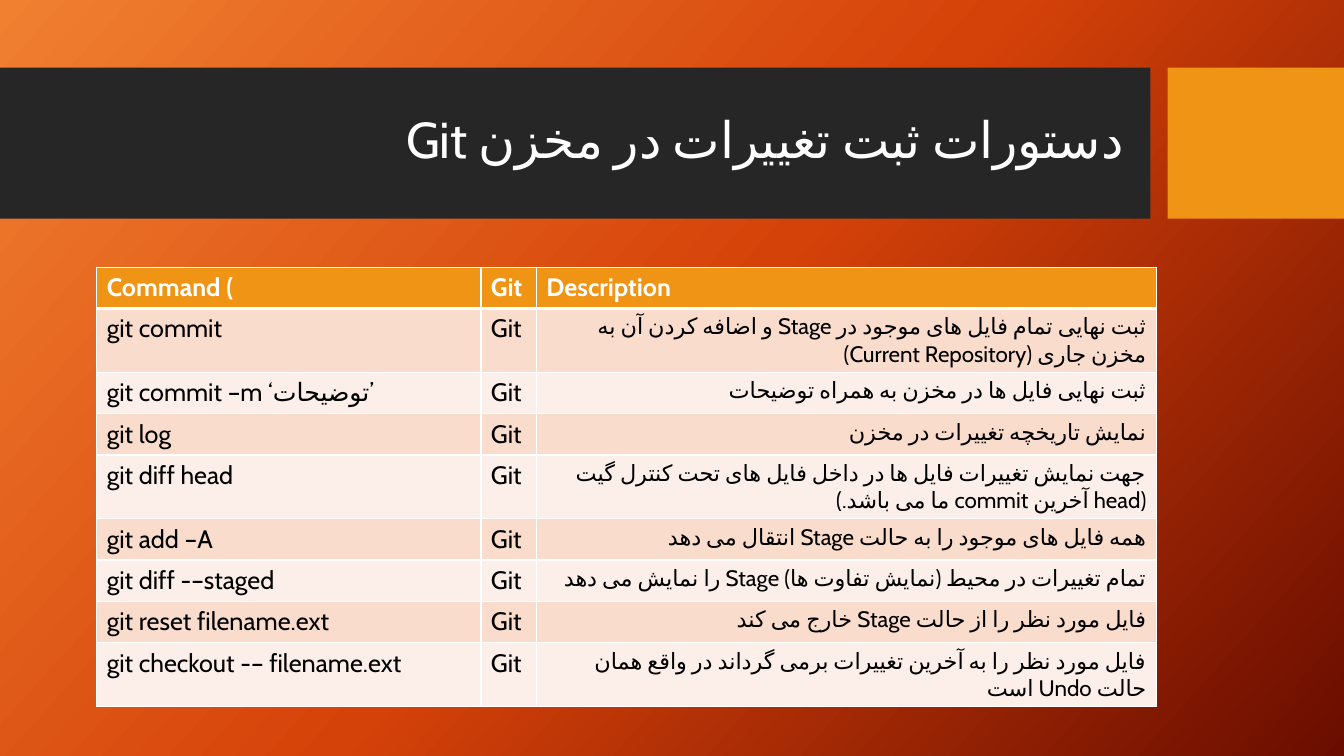
from copy import deepcopy

from lxml import etree
from pptx import Presentation
from pptx.dml.color import RGBColor
from pptx.enum import lang, shapes, text
from pptx.oxml import ns
from pptx.util import Inches, Pt

CHARCOAL = RGBColor(0x26, 0x26, 0x26)
AMBER = RGBColor(0xF0, 0x94, 0x15)
PEACH = RGBColor(0xF9, 0xDC, 0xCC)
CREAM = RGBColor(0xFC, 0xEE, 0xE8)
WHITE = RGBColor(0xFF, 0xFF, 0xFF)
BLACK = RGBColor(0, 0, 0)
BACKDROP = [
    (0, RGBColor(0xF1, 0x80, 0x31)),
    (0.5, RGBColor(0xD5, 0x42, 0x09)),
    (1, RGBColor(0x6A, 0x0D, 0x00)),
]

FONT = "Cabin"
BASE = {"name": FONT, "language_id": lang.MSO_LANGUAGE_ID.FARSI}
HEADER = {**BASE, "size": Pt(18), "bold": True}
COMMAND = {**BASE, "size": Pt(18), "bold": False}
DESCRIPTION = {**BASE, "size": Pt(16), "bold": False}
TITLE = {**BASE, "size": Pt(36)}

COLUMN_WIDTHS = [3.81, 0.55, 6.15]
ROW_HEIGHT = 0.41
HEADINGS = ["Command (", "Git", "Description"]
COMMANDS = [
    ("git commit", "ثبت نهایی تمام فایل های موجود در Stage و اضافه کردن آن به مخزن جاری (Current Repository)"),
    ("git commit –m ‘توضیحات’", "ثبت نهایی فایل ها در مخزن به همراه توضیحات"),
    ("git log", "نمایش تاریخچه تغییرات در مخزن"),
    ("git diff head", "جهت نمایش تغییرات فایل ها در داخل فایل های تحت کنترل گیت (head آخرین commit ما می باشد.)"),
    ("git add –A", "همه فایل های موجود را به حالت Stage انتقال می دهد"),
    ("git diff -–staged", "تمام تغییرات در محیط (نمایش تفاوت ها) Stage را نمایش می دهد"),
    ("git reset filename.ext", "فایل مورد نظر را از حالت Stage خارج می کند"),
    ("git checkout -– filename.ext", "فایل مورد نظر را به آخرین تغییرات برمی گرداند در واقع همان حالت Undo است"),
]


def write(para, words, style, color, rtl=False):
    if rtl:
        para.alignment = text.PP_ALIGN.RIGHT
        para._p.get_or_add_pPr().set("rtl", "1")
    span = para.add_run()
    span.text = words
    for key, value in style.items():
        setattr(span.font, key, value)
    span.font.color.rgb = color
    # Persian letters take their font from the complex-script setting
    etree.SubElement(span._r.get_or_add_rPr(), ns.qn("a:cs"), typeface=FONT)


def paint_background(page):
    fill = page.background.fill
    fill.gradient()
    fill.gradient_angle = 318  # counter-clockwise
    first_stop = page.element.xpath(".//p:bg//a:gs")[0]
    first_stop.addnext(deepcopy(first_stop))
    for stop, (position, color) in zip(fill.gradient_stops, BACKDROP):
        stop.position = position
        stop.color.rgb = color


def add_block(page, left, top, width, height, color):
    block = page.shapes.add_shape(
        shapes.MSO_SHAPE.RECTANGLE, Inches(left), Inches(top), Inches(width), Inches(height))
    block.shadow.inherit = False
    block.fill.solid()
    block.fill.fore_color.rgb = color
    block.line.fill.background()


def add_title_band(page, left, top, width, height):
    # Dark band and amber block at its right
    band_width, block_width = 11.41, 1.75
    add_block(page, left, top, band_width, height, CHARCOAL)
    add_block(page, left + width - block_width, top, block_width, height, AMBER)

    # Title
    box = page.shapes.add_textbox(
        Inches(left + 0.74), Inches(top + 0.15), Inches(10.51), Inches(1.18))
    frame = box.text_frame
    frame.word_wrap = True
    frame.vertical_anchor = text.MSO_ANCHOR.MIDDLE
    para = frame.paragraphs[0]
    para.line_spacing = 0.9
    write(para, "دستورات ثبت تغییرات در مخزن Git", TITLE, WHITE, rtl=True)


def set_borders(cell, top=1, bottom=1):
    props = cell._tc.get_or_add_tcPr()
    for side, points in {"L": 1, "R": 1, "T": top, "B": bottom}.items():
        line = etree.SubElement(props, ns.qn(f"a:ln{side}"), w=str(Pt(points)))
        fill = etree.SubElement(line, ns.qn("a:solidFill"))
        etree.SubElement(fill, ns.qn("a:srgbClr"), val=str(WHITE))


def add_command_table(page, left, top):
    rows = [HEADINGS] + [(command, "Git", meaning) for command, meaning in COMMANDS]
    table = page.shapes.add_table(
        len(rows), len(COLUMN_WIDTHS), Inches(left), Inches(top),
        Inches(sum(COLUMN_WIDTHS)), Inches(ROW_HEIGHT * len(rows))).table
    for column, width in zip(table.columns, COLUMN_WIDTHS):
        column.width = Inches(width)

    for r, words in enumerate(rows):
        table.rows[r].height = Inches(ROW_HEIGHT)
        for c, entry in enumerate(words):
            cell = table.cell(r, c)
            set_borders(cell, top=3 if r == 1 else 1, bottom=3 if r == 0 else 1)
            cell.fill.solid()
            para = cell.text_frame.paragraphs[0]
            if r == 0:
                cell.fill.fore_color.rgb = AMBER
                write(para, entry, HEADER, WHITE)
            else:
                cell.fill.fore_color.rgb = PEACH if r % 2 else CREAM
                described = c == 2
                write(para, entry, DESCRIPTION if described else COMMAND, BLACK, rtl=described)


def main():
    deck = Presentation()
    deck.slide_width, deck.slide_height = Inches(13.33), Inches(7.5)
    page = deck.slides.add_slide(deck.slide_layouts[6])
    paint_background(page)
    add_title_band(page, 0, 0.67, 13.33, 1.5)
    add_command_table(page, 0.96, 2.65)
    deck.save("out.pptx")


if __name__ == "__main__":
    main()
